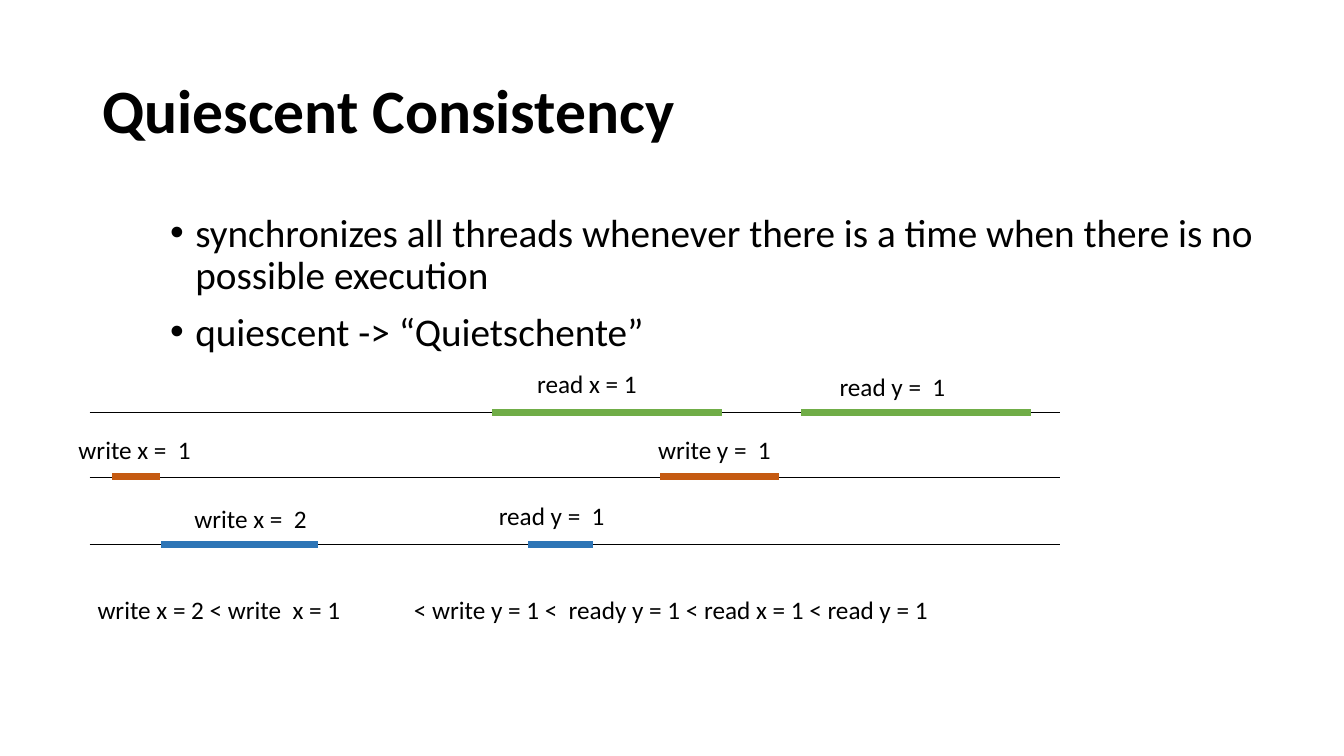
from lxml import etree
from pptx import Presentation
from pptx.dml.color import RGBColor
from pptx.enum.shapes import MSO_CONNECTOR as Connector
from pptx.enum.text import MSO_ANCHOR as Anchor
from pptx.oxml.ns import qn
from pptx.util import Pt

BLACK = RGBColor(0x00, 0x00, 0x00)
GREEN = RGBColor(0x70, 0xAD, 0x47)
ORANGE = RGBColor(0xC5, 0x5A, 0x11)
BLUE = RGBColor(0x2E, 0x75, 0xB6)

# Content
TITLE = "Quiescent Consistency"
BULLETS = [
    "synchronizes all threads whenever there is a time when there is no possible execution",
    "quiescent -> “Quietschente”",
]
# Thread: line y, bar y, colour, operations (bar start, bar end, label, label left, label top, label width)
THREADS = [
    (294.5, 294.5, GREEN, [
        (351.4, 515.5, "read x = 1", 376.6, 259.9, 86.4),
        (572.4, 736.6, "read y =  1", 592.6, 261.4, 91.4),
    ]),
    (341.3, 340.3, ORANGE, [
        (79.9, 114.5, "write x =  1", 49, 306.7, 95.8),
        (471.6, 556.6, "write y =  1", 463, 306.7, 96.5),
    ]),
    (388.8, 388.8, BLUE, [
        (115.2, 227.5, "write x =  2", 131.8, 355.7, 95.8),
        (377.3, 423.4, "read y =  1", 349.2, 354.2, 91.4),
    ]),
]
ORDER = "write x = 2 < write  x = 1\t< write y = 1 <  ready y = 1 < read x = 1 < read y = 1"
ORDER_TAB = 226
LINE_LEFT, LINE_RIGHT = 64.1, 757.4
LABEL_HEIGHT = 28.8

deck = Presentation()
deck.slide_width, deck.slide_height = Pt(960), Pt(540)
page = deck.slides.add_slide(deck.slide_layouts[6])


def add_text(lines, left, top, width, height, size, wrap=True, bold=False,
             anchor=Anchor.TOP, prepare=None, **spacing):
    box = page.shapes.add_textbox(Pt(left), Pt(top), Pt(width), Pt(height))
    frame = box.text_frame
    frame.word_wrap, frame.vertical_anchor = wrap, anchor
    for number, line in enumerate(lines):
        para = frame.paragraphs[0] if number == 0 else frame.add_paragraph()
        for name, value in spacing.items():
            if number or name != "space_before":
                setattr(para, name, value)
        if prepare:
            prepare(para)
        span = para.add_run()
        span.text = line
        for name, value in {"name": "Calibri", "size": Pt(size), "bold": bold}.items():
            setattr(span.font, name, value)
        span.font.color.rgb = BLACK


def add_bullet(para):
    props = para._p.get_or_add_pPr()
    props.set("marL", str(Pt(18)))
    props.set("indent", str(-Pt(18)))
    etree.SubElement(props, qn("a:buFont"), typeface="Arial")
    etree.SubElement(props, qn("a:buChar"), char="•")


def add_tab(para):
    tabs = etree.SubElement(para._p.get_or_add_pPr(), qn("a:tabLst"))
    etree.SubElement(tabs, qn("a:tab"), pos=str(Pt(ORDER_TAB)), algn="l")


def add_line(start, end, y, color, width):
    line = page.shapes.add_connector(Connector.STRAIGHT, Pt(start), Pt(y), Pt(end), Pt(y))
    line.line.color.rgb, line.line.width = color, Pt(width)
    etree.SubElement(line._element.spPr, qn("a:effectLst"))


# Title and bullets
add_text([TITLE], 66, 28.8, 828, 104.4, 44, bold=True, anchor=Anchor.MIDDLE, line_spacing=0.9)
add_text(BULLETS, 114.5, 149, 828, 342.7, 28, prepare=add_bullet,
         line_spacing=0.9, space_before=Pt(10))

# Thread timelines
for line_y, bar_y, color, operations in THREADS:
    add_line(LINE_LEFT, LINE_RIGHT, line_y, BLACK, 0.5)
    for start, end, label, left, top, width in operations:
        add_line(start, end, bar_y, color, 5)
        add_text([label], left, top, width, LABEL_HEIGHT, 18, wrap=False)

# Resulting order
add_text([ORDER], 62.6, 421.2, 640, LABEL_HEIGHT, 18, prepare=add_tab)

deck.save("out.pptx")
